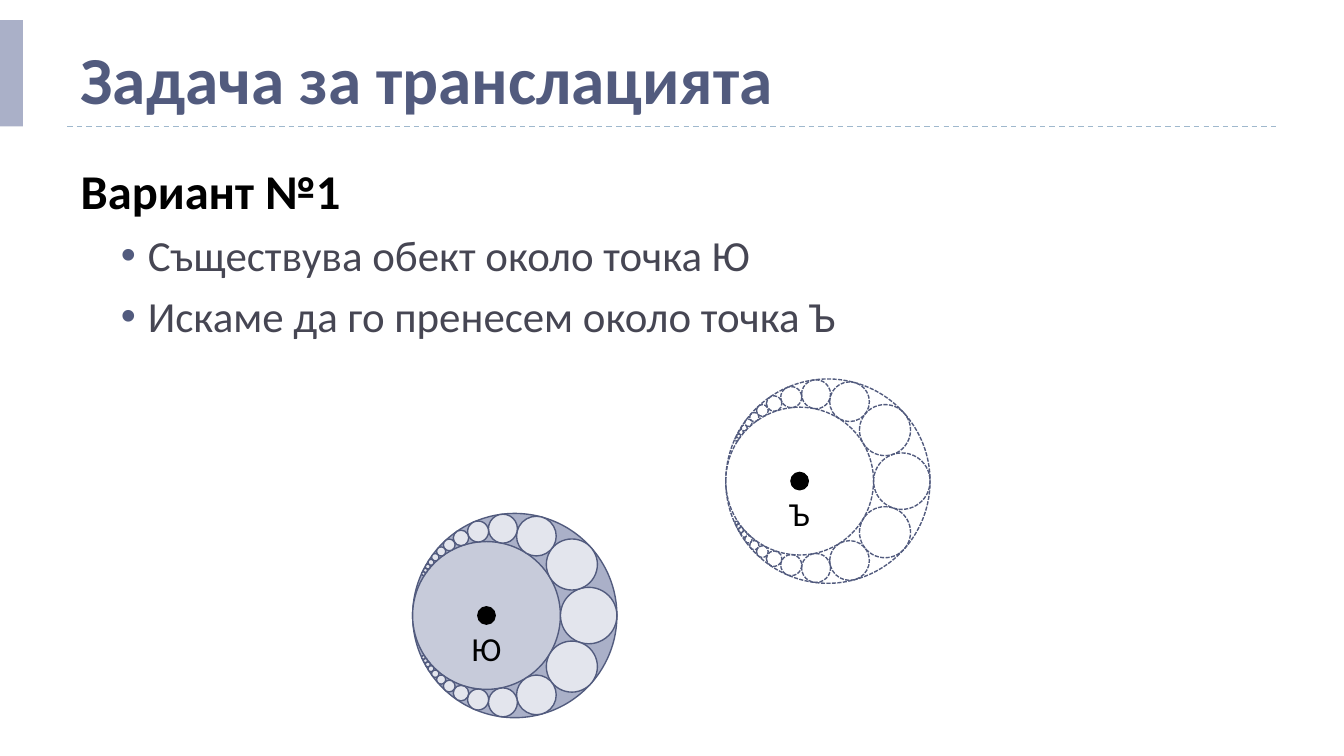
from lxml import etree
from pptx import Presentation
from pptx.dml.color import RGBColor
from pptx.enum.dml import MSO_LINE
from pptx.enum.shapes import MSO_CONNECTOR, MSO_SHAPE
from pptx.enum.text import MSO_ANCHOR, MSO_AUTO_SIZE, PP_ALIGN
from pptx.oxml.ns import qn
from pptx.util import Inches, Pt

STRAIGHT = MSO_CONNECTOR.STRAIGHT
RECTANGLE, OVAL, CHEVRON = MSO_SHAPE.RECTANGLE, MSO_SHAPE.OVAL, MSO_SHAPE.CHEVRON
DASH, SYS_DASH = MSO_LINE.DASH, MSO_LINE.SQUARE_DOT
TOP, MIDDLE, BOTTOM = MSO_ANCHOR.TOP, MSO_ANCHOR.MIDDLE, MSO_ANCHOR.BOTTOM
LEFT, CENTER = PP_ALIGN.LEFT, PP_ALIGN.CENTER
NO_AUTOFIT = MSO_AUTO_SIZE.NONE

FONT = "Calibri"
INK, ACCENT, TEXT, RULE = "000000", "525B7E", "464653", "9FB8CD"
OUTER_FILL, INNER_FILL, CHAIN_FILL = "AAB0C8", "C7CBDA", "E3E5ED"

OUTER, INNER = 1.52, 1.1  # diameters of the two circles touching at the left
CHAIN_LENGTH = 12


def color(hex_string):
    return RGBColor.from_string(hex_string)


def chain_circle(index):
    """Centre and diameter in the Pappus chain, measured from the touching point."""
    ratio = INNER / OUTER
    scale = OUTER / (index ** 2 * (1 - ratio) ** 2 + ratio)
    diameter = ratio * (1 - ratio) * scale
    return ratio * (1 + ratio) * scale / 2, index * diameter, diameter


class SlideBuilder:
    def __init__(self, deck):
        self.page = deck.slides.add_slide(deck.slide_layouts[1])

    def style(self, paragraph, size, hex_color, bold=False, align=LEFT):
        paragraph.alignment = align
        for span in paragraph.runs:
            span.font.name = FONT
            span.font.size = Pt(size)
            span.font.bold = bold
            span.font.color.rgb = color(hex_color)

    def place(self, box, left, top, width, height, anchor):
        box.left, box.top = Inches(left), Inches(top)
        box.width, box.height = Inches(width), Inches(height)
        box.text_frame.auto_size = NO_AUTOFIT
        box.text_frame.vertical_anchor = anchor

    def title(self, text):
        box = self.page.shapes.title
        self.place(box, 0.5, 0.12, 9.33, 0.81, BOTTOM)
        box.text_frame.margin_bottom = Inches(0.05)
        box.text_frame.text = text
        self.style(box.text_frame.paragraphs[0], 36, ACCENT, bold=True)

    def bullet(self, paragraph):
        properties = paragraph._p.get_or_add_pPr()
        properties.set("marL", str(Inches(0.5)))
        properties.set("indent", str(Inches(-0.2)))
        bullet_color = etree.SubElement(properties, qn("a:buClr"))
        etree.SubElement(bullet_color, qn("a:srgbClr"), val=ACCENT)
        etree.SubElement(properties, qn("a:buChar"), char="•")

    def body(self, heading, items):
        box = self.page.placeholders[1]
        self.place(box, 0.5, 1.15, 9.33, 4.42, TOP)
        para = box.text_frame.paragraphs[0]
        para.text = heading
        properties = para._p.get_or_add_pPr()
        properties.set("marL", "0")
        properties.set("indent", "0")
        etree.SubElement(properties, qn("a:buNone"))
        para.space_before = Pt(0)
        self.style(para, 26, INK, bold=True)
        for item in items:
            para = box.text_frame.add_paragraph()
            para.text = item
            para.level = 1
            self.bullet(para)
            para.space_before = Pt(5)
            self.style(para, 23, TEXT)

    def shape(self, kind, left, top, width, height, fill=None, line=None, dash=None):
        shape = self.page.shapes.add_shape(
            kind, Inches(left), Inches(top), Inches(width), Inches(height))
        shape.shadow.inherit = False
        if fill:
            shape.fill.solid()
            shape.fill.fore_color.rgb = color(fill)
        else:
            shape.fill.background()
        if line:
            shape.line.color.rgb = color(line)
            shape.line.width = Pt(0.75)
            shape.line.dash_style = dash
        else:
            shape.line.fill.background()
        return shape

    def circle(self, x, y, diameter, **look):
        """Draw a circle around the centre x, y."""
        self.shape(OVAL, x - diameter / 2, y - diameter / 2, diameter, diameter, **look)

    def rule(self, left, right, y):
        line = self.page.shapes.add_connector(
            STRAIGHT, Inches(left), Inches(y), Inches(right), Inches(y))
        line.line.color.rgb = color(RULE)
        line.line.width = Pt(0.75)
        line.line.dash_style = DASH
        etree.SubElement(line._element.spPr, qn("a:effectLst"))

    def label(self, x, y, text):
        box = self.shape(CHEVRON, x - 0.2, y - 0.2, 0.4, 0.4)
        box.adjustments[0] = 0
        frame = box.text_frame
        frame.margin_left = frame.margin_right = 0
        frame.margin_top = frame.margin_bottom = 0
        frame.word_wrap = False
        frame.vertical_anchor = MIDDLE
        frame.text = text
        self.style(frame.paragraphs[0], 18, INK, align=CENTER)

    def chained_object(self, left, y, name, fills=(None, None, None), dash=None):
        """Draw the object whose circles touch at left, y."""
        outer_fill, inner_fill, chain_fill = fills
        outline = {"line": ACCENT, "dash": dash}
        center = left + INNER / 2
        self.circle(left + OUTER / 2, y, OUTER, fill=outer_fill, **outline)
        self.circle(center, y, INNER, fill=inner_fill, **outline)
        x, _, diameter = chain_circle(0)
        self.circle(left + x, y, diameter, fill=chain_fill, **outline)
        for side in (1, -1):
            for index in range(1, CHAIN_LENGTH + 1):
                x, rise, diameter = chain_circle(index)
                self.circle(left + x, y + side * rise, diameter,
                            fill=chain_fill, **outline)
        self.circle(center, y, 0.14, fill=INK)
        self.label(center, y + 0.24, name)


def main():
    deck = Presentation()
    deck.slide_width = Inches(10)
    deck.slide_height = deck.slide_width * 9 // 16
    slide = SlideBuilder(deck)
    slide.rule(0.5, 9.5, 0.94)
    slide.shape(RECTANGLE, 0, 0.15, 0.17, 0.79, fill=OUTER_FILL)
    slide.title("Задача за транслацията")
    slide.body("Вариант №1", ["Съществува обект около точка Ю",
                              "Искаме да го пренесем около точка Ъ"])
    slide.chained_object(5.4, 3.58, "Ъ", dash=SYS_DASH)
    slide.chained_object(3.07, 4.58, "Ю", fills=(OUTER_FILL, INNER_FILL, CHAIN_FILL))
    deck.save("out.pptx")


if __name__ == "__main__":
    main()
